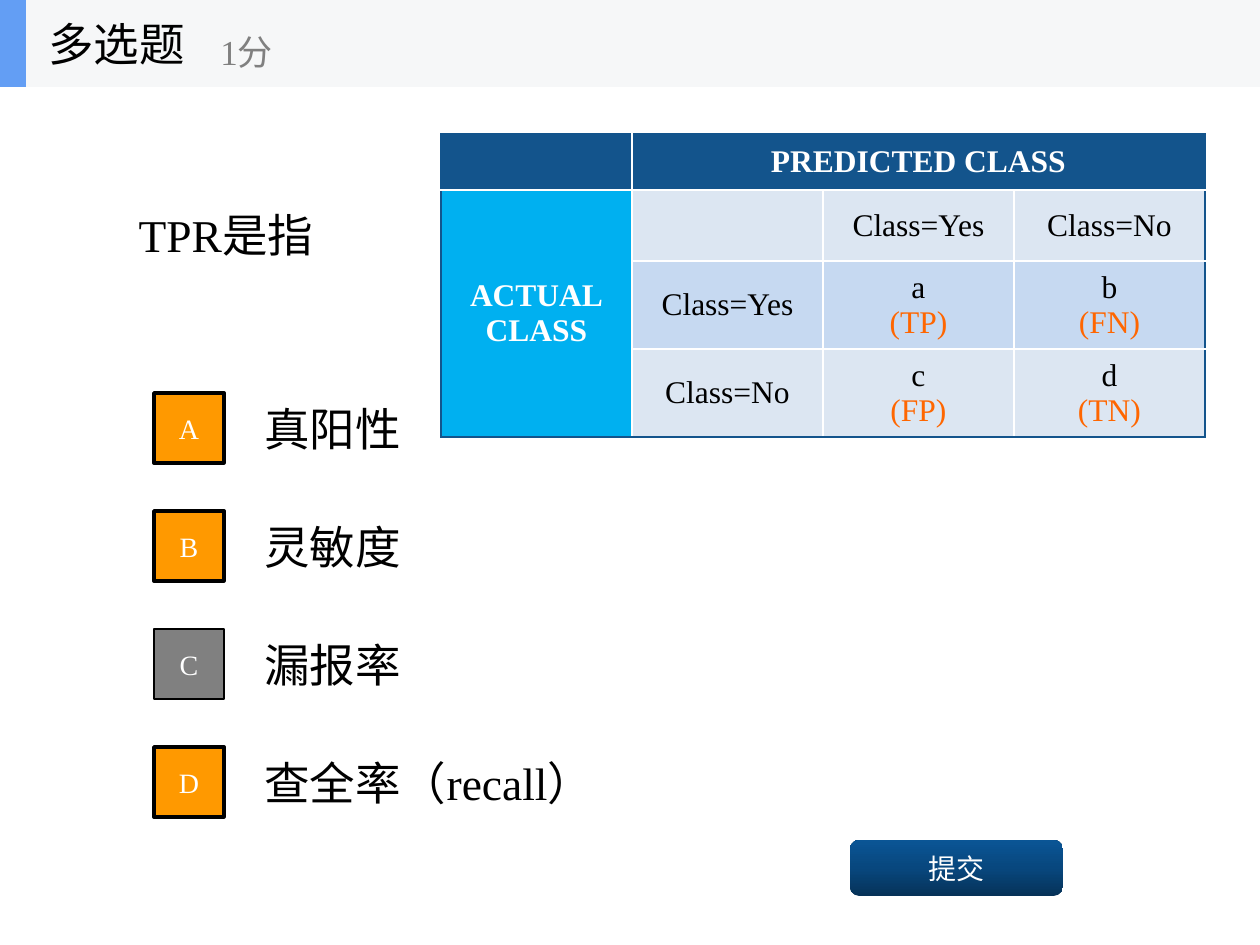
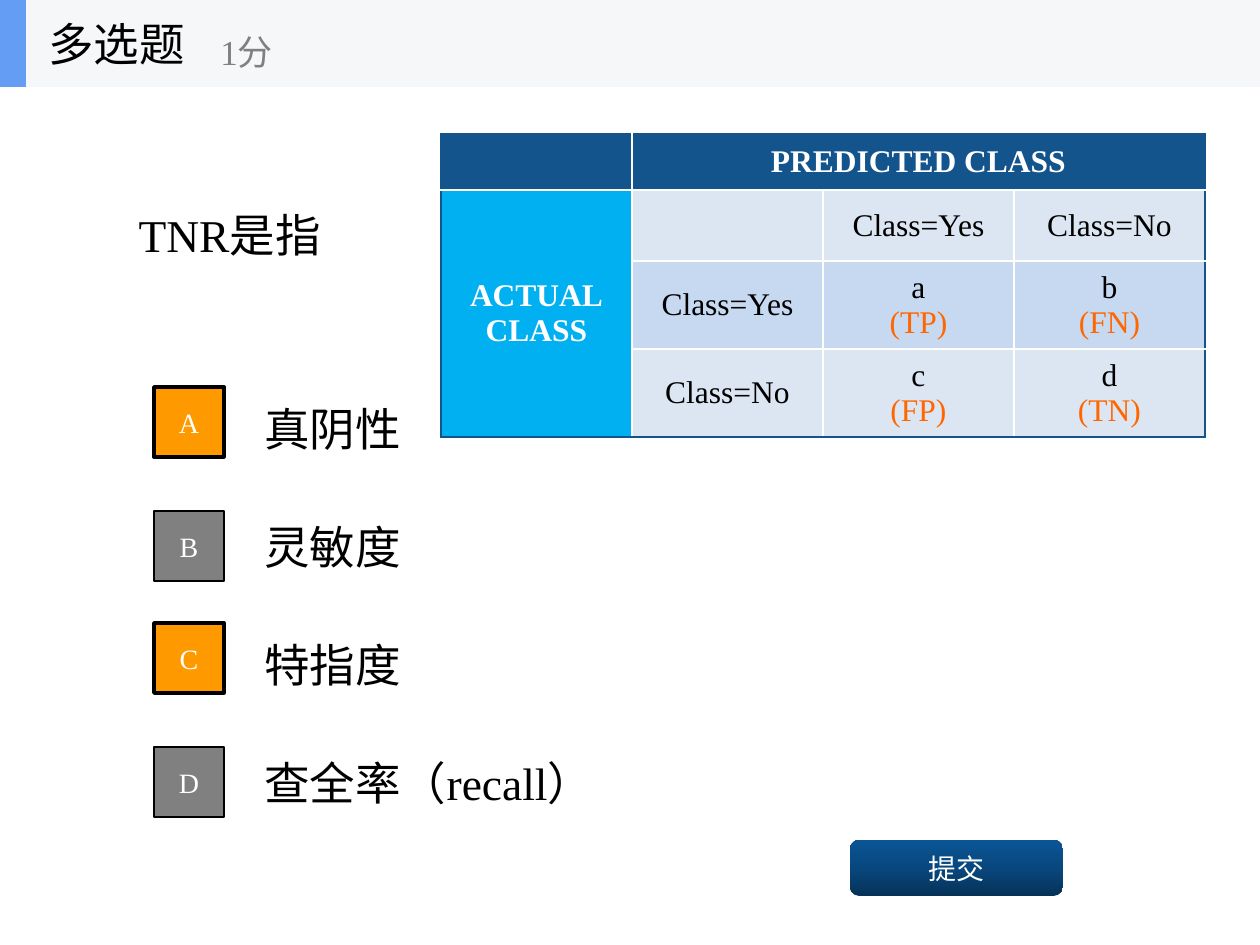
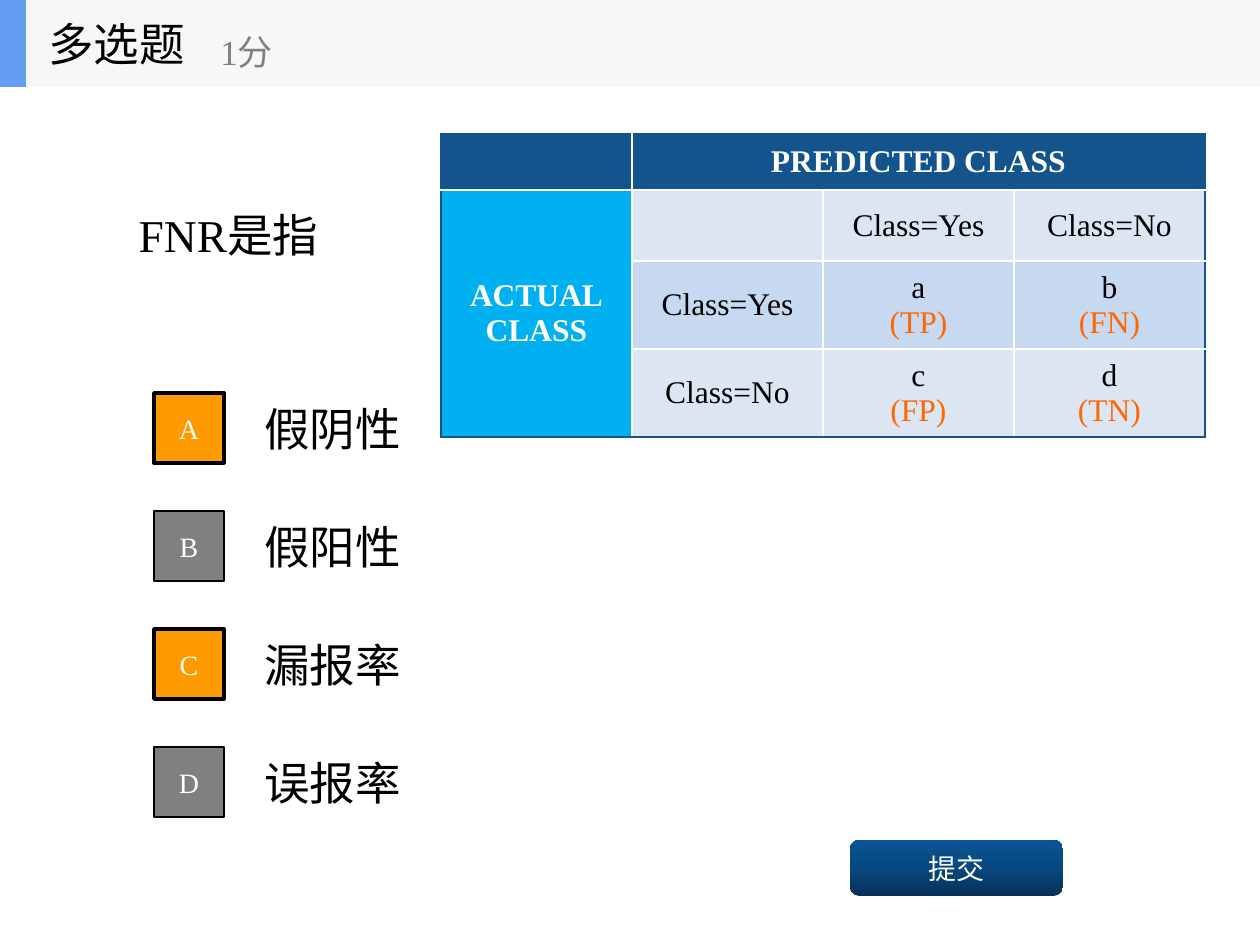
from copy import deepcopy

from lxml import etree
from pptx import Presentation
from pptx.dml.color import RGBColor
from pptx.enum.shapes import MSO_SHAPE
from pptx.enum.text import MSO_ANCHOR, MSO_AUTO_SIZE, PP_ALIGN
from pptx.oxml.ns import qn
from pptx.util import Emu, Pt

RECT, ROUNDED = MSO_SHAPE.RECTANGLE, MSO_SHAPE.ROUNDED_RECTANGLE
LEFT, CENTER = PP_ALIGN.LEFT, PP_ALIGN.CENTER
MIDDLE = MSO_ANCHOR.MIDDLE
TITLE_ONLY = 5

HEADING, POINTS, SUBMIT = "多选题", "1分", "提交"
QUESTIONS = [
    {"title": "TPR是指", "correct": "ABD", "raised": "",
     "options": ["真阳性", "灵敏度", "漏报率", "查全率（recall）"]},
    {"title": "TNR是指", "correct": "AC", "raised": "AC",
     "options": ["真阴性", "灵敏度", "特指度", "查全率（recall）"]},
    {"title": "FNR是指", "correct": "AC", "raised": "",
     "options": ["假阴性", "假阳性", "漏报率", "误报率"]},
]
MATRIX = [
    ["", "PREDICTED CLASS", "", ""],
    ["ACTUAL\nCLASS", "", "Class=Yes", "Class=No"],
    ["", "Class=Yes", "a\n(TP)", "b\n(FN)"],
    ["", "Class=No", "c\n(FP)", "d\n(TN)"],
]
MERGES = [((0, 1), (0, 3)), ((1, 0), (3, 0))]

FONT = "Times New Roman"
COLORS = {
    "black": "000000", "white": "FFFFFF", "gray": "808080",
    "band": "F6F7F8", "accent": "639EF4", "correct": "FF9900",
    "navy": "13548C", "cyan": "00B0F0", "pale": "DCE6F2", "light": "C6D9F1",
    "outcome": "FF6600",
    "button_dark": "063258", "button_mid": "08477E", "button_light": "0A5595",
}

# Lengths in px, 126 to the inch
PX = 914400 // 126
SLIDE_W, SLIDE_H = 1260, 945
BAND_H = 87
TABLE_X, TABLE_Y, COL_W = 441, 134, 191
ROW_HEIGHTS = [56, 71, 88, 88]
OPTION_Y, OPTION_PITCH, OPTION_H = 384, 118, 88
BADGE_X, BADGE_SIZE, RAISE = 154, 70, 6


def px(*lengths):
    return [Emu(n * PX) for n in lengths]


def rgb(name):
    return RGBColor.from_string(COLORS[name])


def style_font(font, size, color, bold=False):
    for key, value in {"name": FONT, "size": Pt(size), "bold": bold}.items():
        setattr(font, key, value)
    font.color.rgb = rgb(color)


def write(s, text, size, color, align=LEFT):
    tf = s.text_frame
    for key, value in {"word_wrap": True, "auto_size": MSO_AUTO_SIZE.NONE,
                       "vertical_anchor": MIDDLE}.items():
        setattr(tf, key, value)
    p = tf.paragraphs[0]
    p.alignment = align
    r = p.add_run()
    r.text = text
    style_font(r.font, size, color)


def add_label(slide, box, text, size, color="black"):
    write(slide.shapes.add_textbox(*px(*box)), text, size, color)


def add_block(slide, kind, box, fill, line_pt=0):
    s = slide.shapes.add_shape(kind, *px(*box))
    s.shadow.inherit = False
    s.fill.solid()
    s.fill.fore_color.rgb = rgb(fill)
    if line_pt:
        s.line.color.rgb = rgb("black")
        s.line.width = Pt(line_pt)
    else:
        s.line.fill.background()
    return s


def add_header(slide):
    add_block(slide, RECT, (0, 0, SLIDE_W, BAND_H), "band")
    add_block(slide, RECT, (0, 0, 26, BAND_H), "accent")
    add_label(slide, (36, 0, 262, BAND_H), HEADING, 26)
    add_label(slide, (208, 16, 315, 70), POINTS, 20, "gray")


def add_question(slide, text):
    s = slide.shapes.title
    s.left, s.top, s.width, s.height = px(126, BAND_H, 1008, 295)
    write(s, text, 26, "black")


def add_options(slide, question):
    for i, text in enumerate(question["options"]):
        box = (252, OPTION_Y + i * OPTION_PITCH, 882, OPTION_H)
        add_label(slide, box, text, 26)
    for i, letter in enumerate("ABCD"):
        y = OPTION_Y + i * OPTION_PITCH + (OPTION_H - BADGE_SIZE) // 2
        if letter in question["raised"]:
            y -= RAISE
        fill, line_pt = ("correct", 2) if letter in question["correct"] else ("gray", 1)
        s = add_block(slide, RECT, (BADGE_X, y, BADGE_SIZE, BADGE_SIZE), fill, line_pt)
        write(s, letter, 16, "white", CENTER)


def cell_fill(row, col):
    if row == 0:
        return "navy"
    if col == 0:
        return "cyan"
    return "light" if row == 2 else "pale"


def set_borders(cell, row, col):
    """Navy on the outside of the table, white inside, none within a merged area."""
    last_row, last_col = row, col
    if cell.is_merge_origin:
        last_row += cell.span_height - 1
        last_col += cell.span_width - 1
    outer = {"a:lnL": col == 0, "a:lnR": last_col == len(MATRIX[0]) - 1,
             "a:lnT": row == 0, "a:lnB": last_row == len(MATRIX) - 1}
    tc_pr = cell._tc.get_or_add_tcPr()
    sides = [side for side in outer if outer[side] or not cell.is_spanned]
    for i, side in enumerate(sides):
        ln = etree.Element(qn(side), w=str(Pt(1)))
        fill = etree.SubElement(ln, qn("a:solidFill"))
        color = COLORS["navy" if outer[side] else "white"]
        etree.SubElement(fill, qn("a:srgbClr"), val=color)
        tc_pr.insert(i, ln)


def fill_cell(cell, text, row, col):
    margin_x, margin_y = px(9, 5)
    for key, value in {"vertical_anchor": MIDDLE,
                       "margin_left": margin_x, "margin_right": margin_x,
                       "margin_top": margin_y, "margin_bottom": margin_y}.items():
        setattr(cell, key, value)
    cell.fill.solid()
    cell.fill.fore_color.rgb = rgb(cell_fill(row, col))
    set_borders(cell, row, col)
    if not text:
        return
    heading = row == 0 or col == 0
    p = cell.text_frame.paragraphs[0]
    p.alignment = CENTER
    p.space_after = Pt(4)
    for i, line in enumerate(text.split("\n")):
        if i:
            p.add_line_break()
        r = p.add_run()
        r.text = line
        color = "white" if heading else "outcome" if line.startswith("(") else "black"
        style_font(r.font, 18, color, heading)


def add_matrix(slide):
    rows, cols = len(MATRIX), len(MATRIX[0])
    box = px(TABLE_X, TABLE_Y, cols * COL_W, sum(ROW_HEIGHTS))
    table = slide.shapes.add_table(rows, cols, *box).table
    table.first_row = table.horz_banding = False
    for column in table.columns:
        column.width = Emu(COL_W * PX)
    for row, height in zip(table.rows, ROW_HEIGHTS):
        row.height = Emu(height * PX)
    for first, last in MERGES:
        table.cell(*first).merge(table.cell(*last))
    for r, texts in enumerate(MATRIX):
        for c, text in enumerate(texts):
            fill_cell(table.cell(r, c), text, r, c)


def add_submit_button(slide):
    s = add_block(slide, ROUNDED, (850, 840, 213, 56), "navy")
    s.fill.gradient()
    s.fill.gradient_angle = 90
    stops = s._element.spPr.find(qn("a:gradFill")).find(qn("a:gsLst"))
    stops.insert(1, deepcopy(stops[0]))
    names = ("button_dark", "button_mid", "button_light")
    for stop, name, position in zip(s.fill.gradient_stops, names, (0, 0.5, 1)):
        stop.color.rgb = rgb(name)
        stop.position = position
    write(s, SUBMIT, 16, "white", CENTER)


def main():
    prs = Presentation()
    prs.slide_width, prs.slide_height = px(SLIDE_W, SLIDE_H)
    for question in QUESTIONS:
        slide = prs.slides.add_slide(prs.slide_layouts[TITLE_ONLY])
        add_question(slide, question["title"])
        add_options(slide, question)
        add_matrix(slide)
        add_submit_button(slide)
        add_header(slide)
    prs.save("out.pptx")


if __name__ == "__main__":
    main()
